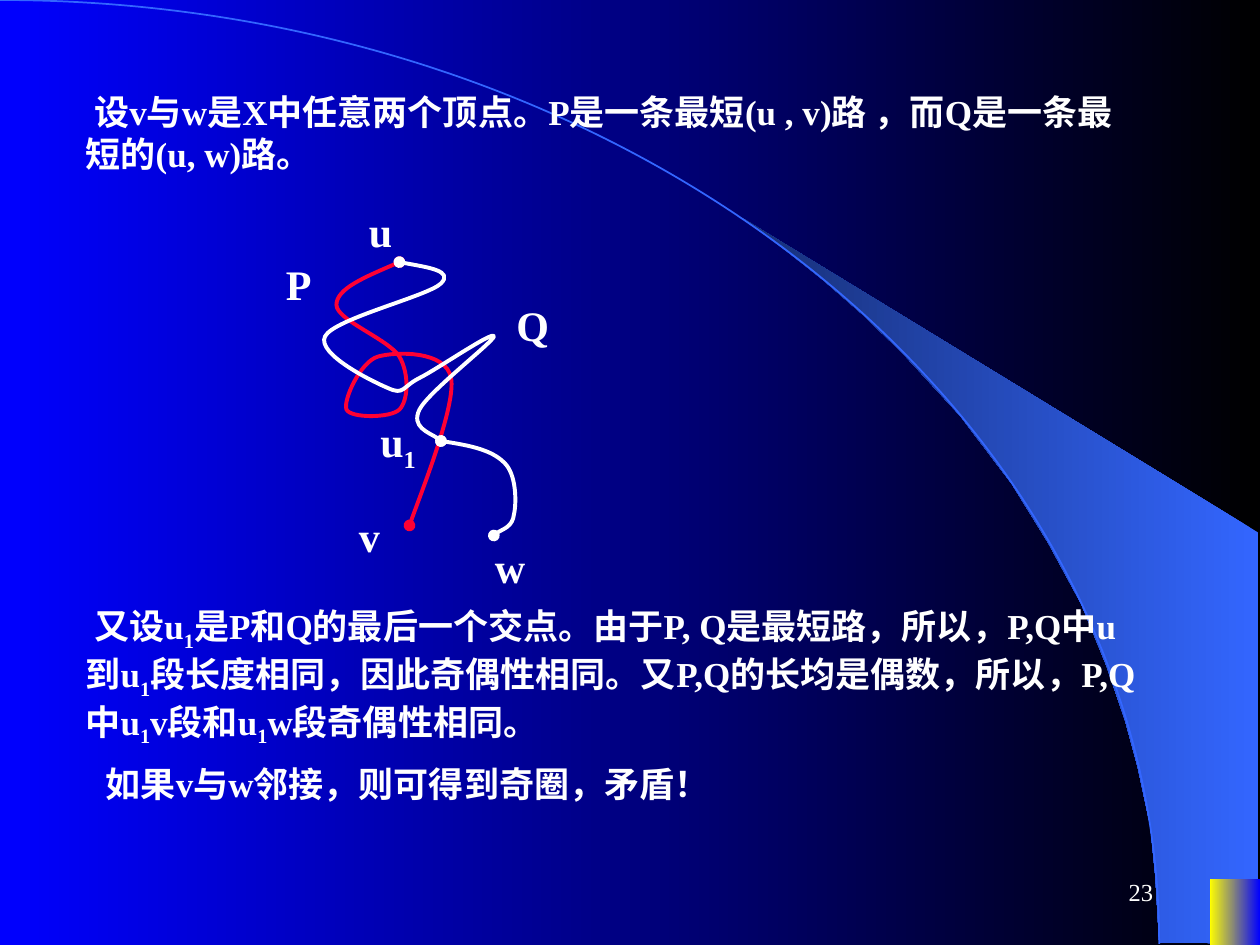
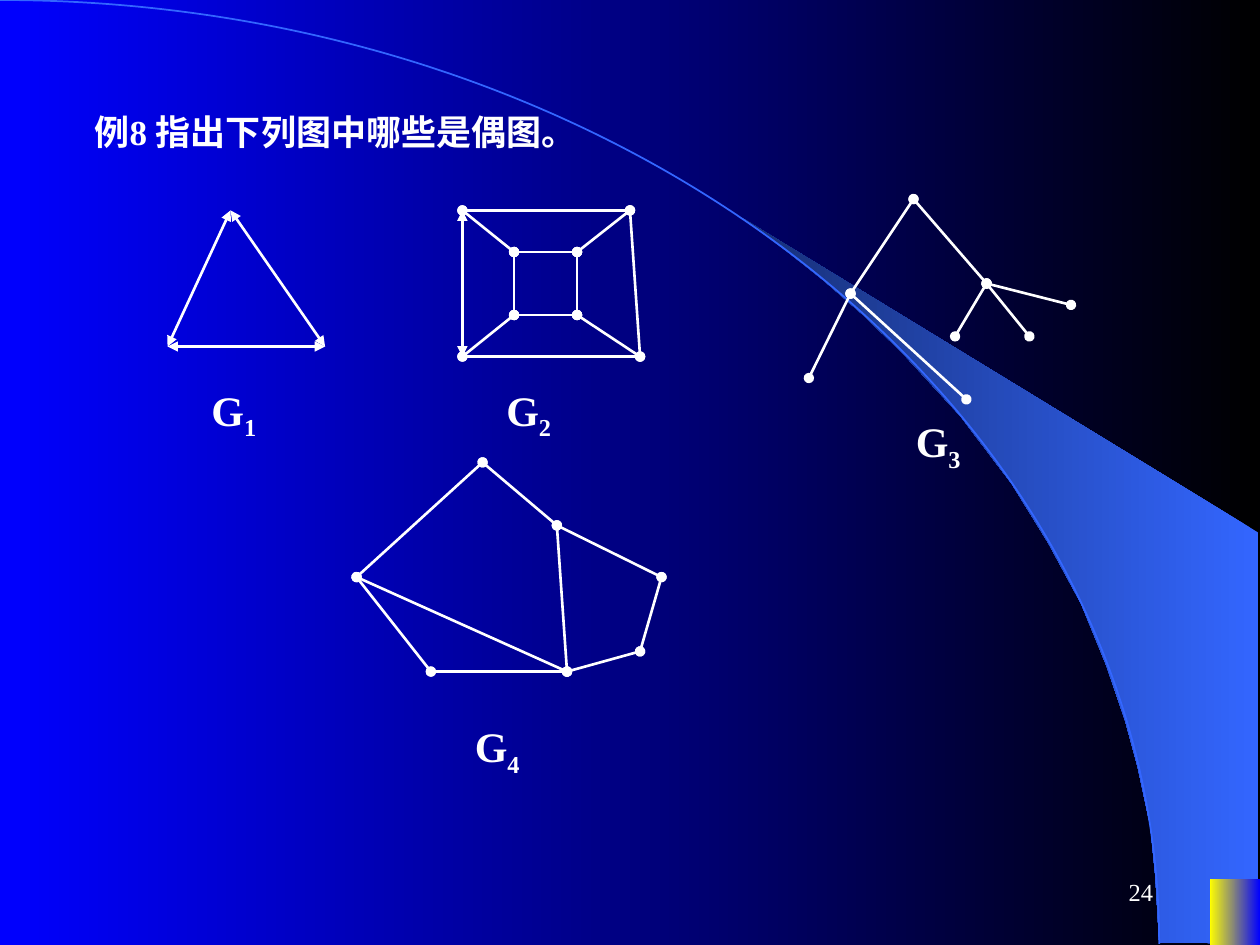
from lxml import etree
from pptx import Presentation
from pptx.dml.color import RGBColor
from pptx.enum.shapes import MSO_CONNECTOR, MSO_SHAPE
from pptx.enum.text import MSO_ANCHOR, MSO_AUTO_SIZE, PP_ALIGN
from pptx.oxml.ns import qn
from pptx.util import Inches, Pt

FONT = "Times New Roman"
WHITE = RGBColor(0xFF, 0xFF, 0xFF)
BLACK = RGBColor(0x00, 0x00, 0x00)
BLUE = RGBColor(0x00, 0x00, 0xFF)
YELLOW = RGBColor(0xFF, 0xFF, 0x00)
RED = RGBColor(0xFF, 0x00, 0x33)
SKY = RGBColor(0x33, 0x66, 0xFF)
NAVY = RGBColor(0x17, 0x2F, 0x75)

TITLE_ONLY, BLANK = 5, 6
BODY_SIZE, LABEL_SIZE, NUMBER_SIZE = 20, 24, 14
FIRST_LINE_INDENT = Inches(0.07)

SWEEP = [
    (9.2, 7.48), (9.99, 7.49), (9.99, 4.23), (5.89, 1.73), (6.24, 1.99), (6.53, 2.22),
    (6.85, 2.5), (7.16, 2.8), (7.62, 3.3), (8.03, 3.84), (8.32, 4.31), (8.58, 4.79),
    (8.78, 5.28), (8.93, 5.72), (9.03, 6.09), (9.13, 6.56), (9.17, 6.96),
]
# Each curve is a start point followed by triples of Bézier points.
ARC = [(0, 0), (5.08, 0), (9.2, 3.35), (9.2, 7.49)]
PATH_P = [
    (3.17, 2.08), (2.92, 2.19), (2.67, 2.29), (2.67, 2.42),
    (2.67, 2.54), (3.08, 2.69), (3.17, 2.83), (3.25, 2.97), (3.24, 3.18), (3.17, 3.25),
    (3.1, 3.32), (2.78, 3.32), (2.75, 3.25), (2.72, 3.18), (2.86, 2.87), (3, 2.83),
    (3.14, 2.79), (3.54, 2.78), (3.58, 3), (3.62, 3.22), (3.31, 3.99), (3.25, 4.17),
]
PATH_Q_TO_U1 = [
    (3.17, 2.08), (3.38, 2.12), (3.6, 2.15), (3.5, 2.25),
    (3.4, 2.35), (2.65, 2.53), (2.58, 2.67), (2.51, 2.81), (2.96, 3.03), (3.08, 3.08),
    (3.21, 3.14), (3.19, 3.07), (3.33, 3), (3.47, 2.93), (3.92, 2.62), (3.92, 2.67),
    (3.92, 2.71), (3.4, 3.11), (3.33, 3.25), (3.26, 3.39), (3.47, 3.46), (3.5, 3.5),
]
PATH_Q_TO_W = [
    (3.5, 3.5), (3.7, 3.53), (3.9, 3.57), (4, 3.67),
    (4.1, 3.76), (4.1, 3.99), (4.08, 4.08), (4.07, 4.18), (3.94, 4.22), (3.92, 4.25),
]
PATH_LABELS = [
    ("Q", 4, 2.33, 0.93), ("P", 2.17, 2, 0.93), ("v", 2.75, 4, 0.77),
    ("u", 2.83, 1.58, 0.77), ("w", 3.83, 4.25, 0.77), ("u_1", 2.92, 3.25, 0.77),
]

# Graph: label, label position, vertices, arrow edges, dotted edges.
GRAPHS = [
    ("G_1", (1.58, 3),
     {"A": (1.83, 1.67), "B": (1.33, 2.75), "C": (2.58, 2.75)},
     "AB BC AC", ""),
    ("G_2", (3.92, 3),
     {"A": (3.67, 1.67), "B": (5, 1.67), "C": (5.08, 2.83), "D": (3.67, 2.83),
      "E": (4.08, 2), "F": (4.58, 2), "G": (4.58, 2.5), "H": (4.08, 2.5)},
     "AD", "DC AB BC EH HG EF FG FB GC HD EA"),
    ("G_3", (7.17, 3.25),
     {"A": (7.25, 1.58), "B": (6.75, 2.33), "C": (7.83, 2.25), "D": (6.42, 3),
      "E": (7.67, 3.17), "F": (7.58, 2.67), "G": (8.17, 2.67), "H": (8.5, 2.42)},
     "", "AB BE AC CF CG CH BD"),
    ("G_4", (3.67, 5.67),
     {"A": (3.83, 3.67), "B": (2.83, 4.58), "C": (3.42, 5.33), "D": (4.5, 5.33),
      "E": (4.42, 4.17), "F": (5.25, 4.58), "G": (5.08, 5.17)},
     "", "AB BC CD AE ED BD EF FG DG"),
]


def fill_gradient(fill, start, end):
    """Blend from start at the right edge to end at the left edge."""
    fill.gradient()
    fill.gradient_angle = 180
    for stop, color in zip(fill.gradient_stops, (start, end)):
        stop.color.rgb = color


def style_line(line, color, width, ends=None):
    line.color.rgb = color
    line.width = Pt(width)
    if ends:
        outline = line._get_or_add_ln()
        for tag in ("a:headEnd", "a:tailEnd"):
            etree.SubElement(outline, qn(tag), type=ends)


def add_outline(shapes, points, close):
    (start_x, start_y), *rest = [(Inches(x), Inches(y)) for x, y in points]
    builder = shapes.build_freeform(start_x, start_y)
    builder.add_line_segments(rest, close=close)
    shape = builder.convert_to_shape()
    shape.shadow.inherit = False
    return shape


def add_curve(shapes, points, color, width, ends=None):
    """Draw the points as a chain of cubic Bézier curves."""
    shape = add_outline(shapes, points, close=False)
    shape.fill.background()
    style_line(shape.line, color, width, ends)
    segments = list(shape._element.iter(qn("a:lnTo")))
    outline = segments[0].getparent()
    for index in range(0, len(segments), 3):
        bezier = etree.SubElement(outline, qn("a:cubicBezTo"))
        for segment in segments[index:index + 3]:
            bezier.append(segment[0])
            outline.remove(segment)


def add_edge(shapes, start, end, ends):
    x1, y1, x2, y2 = [Inches(value) for value in (*start, *end)]
    edge = shapes.add_connector(MSO_CONNECTOR.STRAIGHT, x1, y1, x2, y2)
    style_line(edge.line, WHITE, 1.5, ends)
    etree.SubElement(edge._element.spPr, qn("a:effectLst"))


def write_text(frame, text, size, bold=True, indent=0, align=PP_ALIGN.LEFT):
    """Write one paragraph; a digit after an underscore becomes a subscript."""
    frame.word_wrap = True
    para = frame.paragraphs[0]
    para.alignment = align
    if indent:
        para._p.get_or_add_pPr().set("indent", str(indent))
    first, *others = text.split("_")
    para.add_run().text = first
    for part in others:
        subscript = para.add_run()
        subscript.text = part[0]
        subscript._r.get_or_add_rPr().set("baseline", "-25000")
        if part[1:]:
            para.add_run().text = part[1:]
    para.font.name = FONT
    para.font.size = Pt(size)
    para.font.bold = bold
    para.font.color.rgb = WHITE


def add_text(shapes, text, left, top, width, height, size, **style):
    box = shapes.add_textbox(Inches(left), Inches(top), Inches(width), Inches(height))
    write_text(box.text_frame, text, size, **style)
    return box


def add_body(page, text, left, top, height):
    box = add_text(page.shapes, text, left, top, 8.58, height, BODY_SIZE,
                   indent=FIRST_LINE_INDENT)
    box.text_frame.auto_size = MSO_AUTO_SIZE.SHAPE_TO_FIT_TEXT


def add_title(page, text):
    title = page.shapes.title
    title.left, title.top = Inches(0.58), Inches(0.83)
    title.width, title.height = Inches(8.58), Inches(0.44)
    title.text_frame.vertical_anchor = MSO_ANCHOR.TOP
    title.text_frame.auto_size = MSO_AUTO_SIZE.NONE
    write_text(title.text_frame, text, BODY_SIZE, indent=FIRST_LINE_INDENT)
    page.shapes._spTree.append(title._element)


def add_page(deck, layout, number):
    """Add a page with the sweep, arc, corner block and page number."""
    page = deck.slides.add_slide(deck.slide_layouts[layout])
    sweep = add_outline(page.shapes, SWEEP, close=True)
    fill_gradient(sweep.fill, SKY, NAVY)
    sweep.line.fill.background()
    add_curve(page.shapes, ARC, SKY, 1)
    corner = page.shapes.add_shape(MSO_SHAPE.RECTANGLE, Inches(9.6), Inches(6.98),
                                   Inches(0.4), Inches(0.52))
    corner.shadow.inherit = False
    fill_gradient(corner.fill, BLUE, YELLOW)
    corner.line.fill.background()
    box = add_text(page.shapes, str(number), 7.17, 6.83, 2.08, 0.5, NUMBER_SIZE,
                   bold=False, align=PP_ALIGN.RIGHT)
    box.text_frame.vertical_anchor = MSO_ANCHOR.MIDDLE
    return page


def add_path_diagram(page):
    shapes = page.shapes.add_group_shape().shapes
    for points, color in ((PATH_P, RED), (PATH_Q_TO_U1, WHITE), (PATH_Q_TO_W, WHITE)):
        add_curve(shapes, points, color, 2.25, "oval")
    for label, left, top, width in PATH_LABELS:
        add_text(shapes, label, left, top, width, 0.5, LABEL_SIZE)


def add_graph(page, label, label_at, vertices, arrow_edges, dotted_edges):
    shapes = page.shapes.add_group_shape().shapes
    for edges, ends in ((arrow_edges, "triangle"), (dotted_edges, "oval")):
        for start, end in edges.split():
            add_edge(shapes, vertices[start], vertices[end], ends)
    add_text(shapes, label, *label_at, 0.77, 0.56, LABEL_SIZE)


def main():
    deck = Presentation()
    deck.slide_width, deck.slide_height = Inches(10), Inches(7.5)
    fill_gradient(deck.slide_master.background.fill, BLACK, BLUE)

    proof = add_page(deck, BLANK, 23)
    add_body(proof, "设v与w是X中任意两个顶点。P是一条最短(u , v)路 ，而Q是一条最短的(u, w)路。",
             0.58, 0.67, 0.77)
    add_path_diagram(proof)
    add_body(proof, "又设u_1是P和Q的最后一个交点。由于P, Q是最短路，所以，P,Q中u到u_1段长度相同，"
             "因此奇偶性相同。又P,Q的长均是偶数，所以，P,Q中u_1v段和u_1w段奇偶性相同。",
             0.58, 4.75, 1.24)
    add_body(proof, "如果v与w邻接，则可得到奇圈，矛盾！", 0.67, 6, 0.44)

    example = add_page(deck, TITLE_ONLY, 24)
    add_title(example, "例8 指出下列图中哪些是偶图。")
    for graph in GRAPHS:
        add_graph(example, *graph)

    deck.save("out.pptx")


if __name__ == "__main__":
    main()
